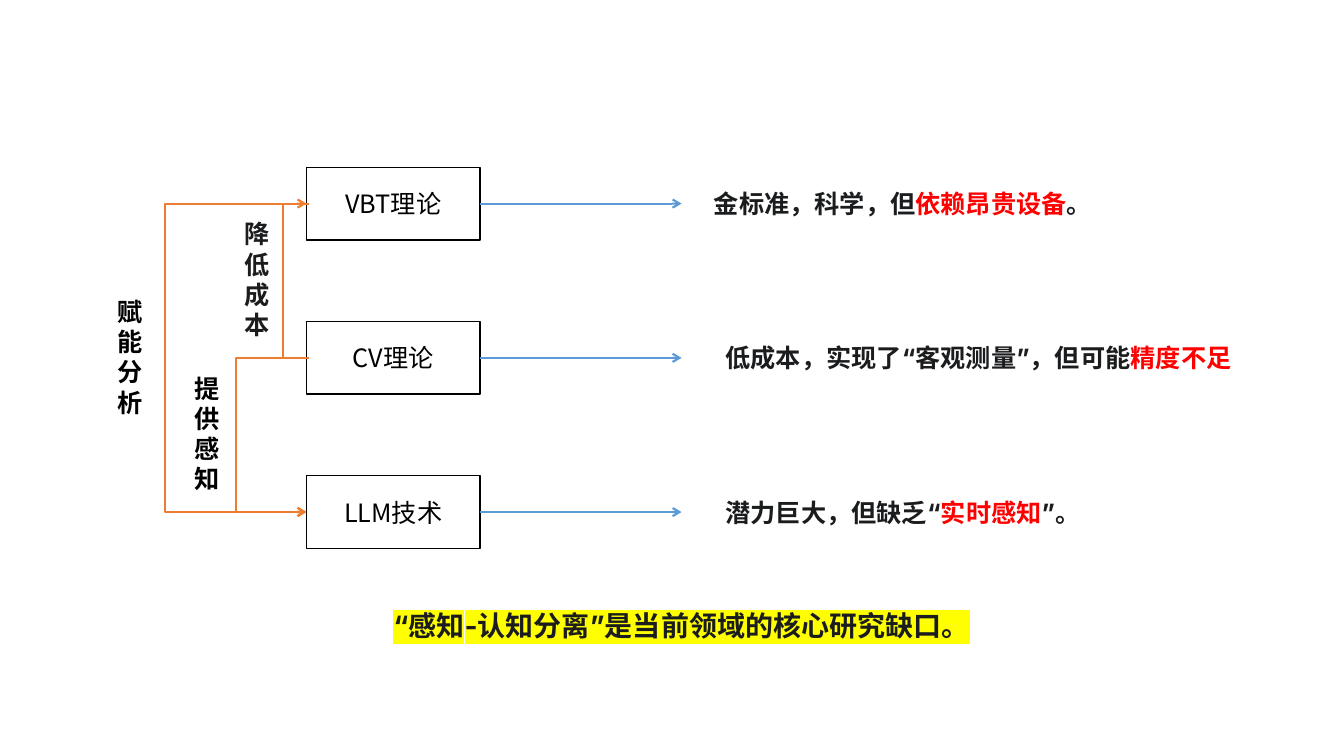
from dataclasses import dataclass

from lxml import etree
from pptx import Presentation
from pptx.dml.color import RGBColor
from pptx.enum.shapes import MSO_CONNECTOR, MSO_SHAPE
from pptx.enum.text import MSO_ANCHOR, PP_ALIGN
from pptx.oxml.ns import qn
from pptx.util import Pt

STRAIGHT = MSO_CONNECTOR.STRAIGHT
ELBOW = MSO_CONNECTOR.ELBOW
RECTANGLE = MSO_SHAPE.RECTANGLE
MIDDLE = MSO_ANCHOR.MIDDLE
CENTER = PP_ALIGN.CENTER
EMU_PER_PX = 9144
LEFT_SIDE, RIGHT_SIDE = 1, 3


@dataclass(frozen=True)
class Theme:
    black: str = "000000"
    white: str = "FFFFFF"
    ink: str = "1A1C1E"
    red: str = "FF0000"
    blue: str = "5B9BD5"
    orange: str = "ED7D31"
    yellow: str = "FFFF00"
    latin: str = "Inter"
    chinese: str = "Noto Sans CJK SC"
    body: int = 18
    conclusion: int = 20
    outline: float = 1
    arrow: float = 1.5


def px(length):
    return length * EMU_PER_PX


class Diagram:
    def __init__(self, slide, theme):
        self.slide = slide
        self.theme = theme

    def set_text(self, shape, runs, font, color, size=None, bold=False, highlight=None):
        frame = shape.text_frame
        frame.word_wrap = True
        paragraph = frame.paragraphs[0]
        paragraph.alignment = CENTER
        paragraph.font.name = font
        paragraph.font.size = Pt(size or self.theme.body)
        paragraph.font.bold = bold
        defaults = paragraph._p.pPr.find(qn("a:defRPr"))
        etree.SubElement(defaults, qn("a:ea"), typeface=font)
        colors = {run_color or color for _, run_color in runs}
        if len(colors) == 1:
            paragraph.font.color.rgb = RGBColor.from_string(color)
        for text, run_color in runs:
            run = paragraph.add_run()
            run.text = text
            if len(colors) > 1:
                run.font.color.rgb = RGBColor.from_string(run_color or color)
            if highlight:
                mark = etree.SubElement(run._r.get_or_add_rPr(), qn("a:highlight"))
                etree.SubElement(mark, qn("a:srgbClr"), val=highlight)

    def box(self, left, top, width, height, text):
        shape = self.slide.shapes.add_shape(RECTANGLE, px(left), px(top), px(width), px(height))
        shape.shadow.inherit = False
        shape.fill.solid()
        shape.fill.fore_color.rgb = RGBColor.from_string(self.theme.white)
        shape.line.color.rgb = RGBColor.from_string(self.theme.black)
        shape.line.width = Pt(self.theme.outline)
        shape.text_frame.vertical_anchor = MIDDLE
        self.set_text(shape, [(text, None)], self.theme.chinese, self.theme.black)
        return shape

    def label(self, left, top, width, height, runs, font, color, **style):
        shape = self.slide.shapes.add_textbox(px(left), px(top), px(width), px(height))
        self.set_text(shape, runs, font, color, bold=True, **style)
        return shape

    def connector(self, kind, begin, end, color):
        connector = self.slide.shapes.add_connector(kind, *map(px, begin + end))
        connector.line.color.rgb = RGBColor.from_string(color)
        connector.line.width = Pt(self.theme.arrow)
        properties = connector._element.spPr
        etree.SubElement(properties.find(qn("a:ln")), qn("a:tailEnd"), type="arrow")
        etree.SubElement(properties, qn("a:effectLst"))
        return connector

    def arrow(self, source, target, begin, end):
        connector = self.connector(STRAIGHT, begin, end, self.theme.blue)
        connector.begin_connect(source, RIGHT_SIDE)
        connector.end_connect(target, LEFT_SIDE)

    def bracket(self, begin, end, bend):
        connector = self.connector(ELBOW, begin, end, self.theme.orange)
        ratio = round((begin[0] - bend) / (begin[0] - end[0]) * 100000)
        geometry = connector._element.spPr.find(qn("a:prstGeom"))
        adjustments = geometry.find(qn("a:avLst"))
        etree.SubElement(adjustments, qn("a:gd"), name="adj1", fmla=f"val {ratio}")


def main():
    presentation = Presentation()
    presentation.slide_width, presentation.slide_height = px(1333), px(750)
    slide = presentation.slides.add_slide(presentation.slide_layouts[6])
    theme = Theme()
    diagram = Diagram(slide, theme)

    box_left, box_width, box_height = 304, 172, 72
    first_center, row_step = 202, 153
    label_left, label_height = 676, 40
    rows = [
        ("VBT理论", 439, [("金标准，科学，但", None), ("依赖昂贵设备", theme.red), ("。", None)]),
        ("CV理论", 589, [("低成本，实现了“客观测量”，但可能", None), ("精度不足", theme.red)]),
        ("LLM技术", 439, [("潜力巨大，但缺乏“", None), ("实时感知", theme.red), ("”。", None)]),
    ]
    centers = [first_center + row_step * index for index in range(len(rows))]
    for center, (name, width, runs) in zip(centers, rows):
        box = diagram.box(box_left, center - box_height // 2, box_width, box_height, name)
        label = diagram.label(label_left, center - label_height // 2, width, label_height,
                              runs, theme.latin, theme.ink)
        diagram.arrow(box, label, (box_left + box_width, center), (label_left, center))

    vbt, cv, llm = centers
    for start, finish, bend in [(cv, vbt, 281), (vbt, llm, 164), (cv, llm, 234)]:
        diagram.bracket((box_left + 2, start), (box_left, finish), bend)

    for left, top, text, font, color in [
        (227, 212, "降低成本", theme.latin, theme.ink),
        (177, 365, "提供感知", theme.chinese, theme.black),
        (101, 289, "赋能分析", theme.chinese, theme.black),
    ]:
        diagram.label(left, top, 57, 131, [(text, None)], font, color)

    diagram.label(326, 599, 700, 44, [("“感知-认知分离”是当前领域的核心研究缺口。", None)],
                  theme.latin, theme.ink, size=theme.conclusion, highlight=theme.yellow)
    presentation.save("out.pptx")


if __name__ == "__main__":
    main()
